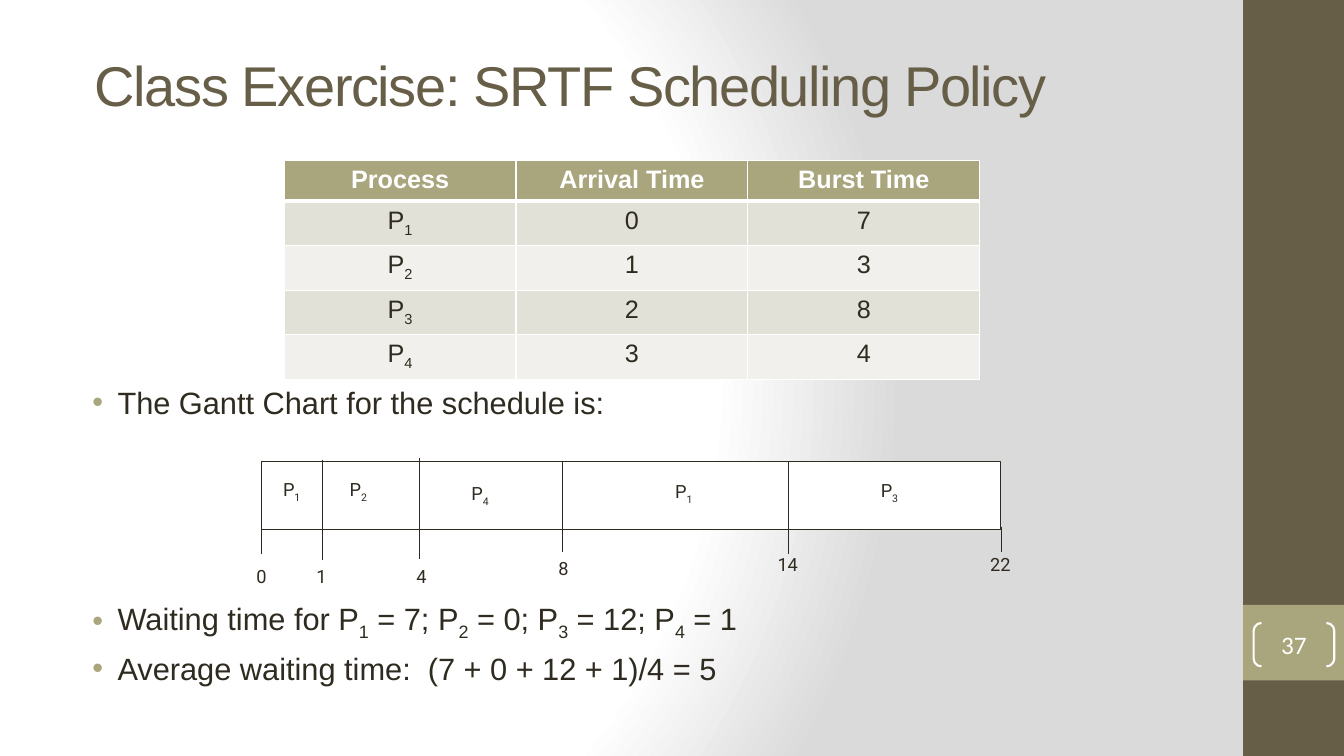
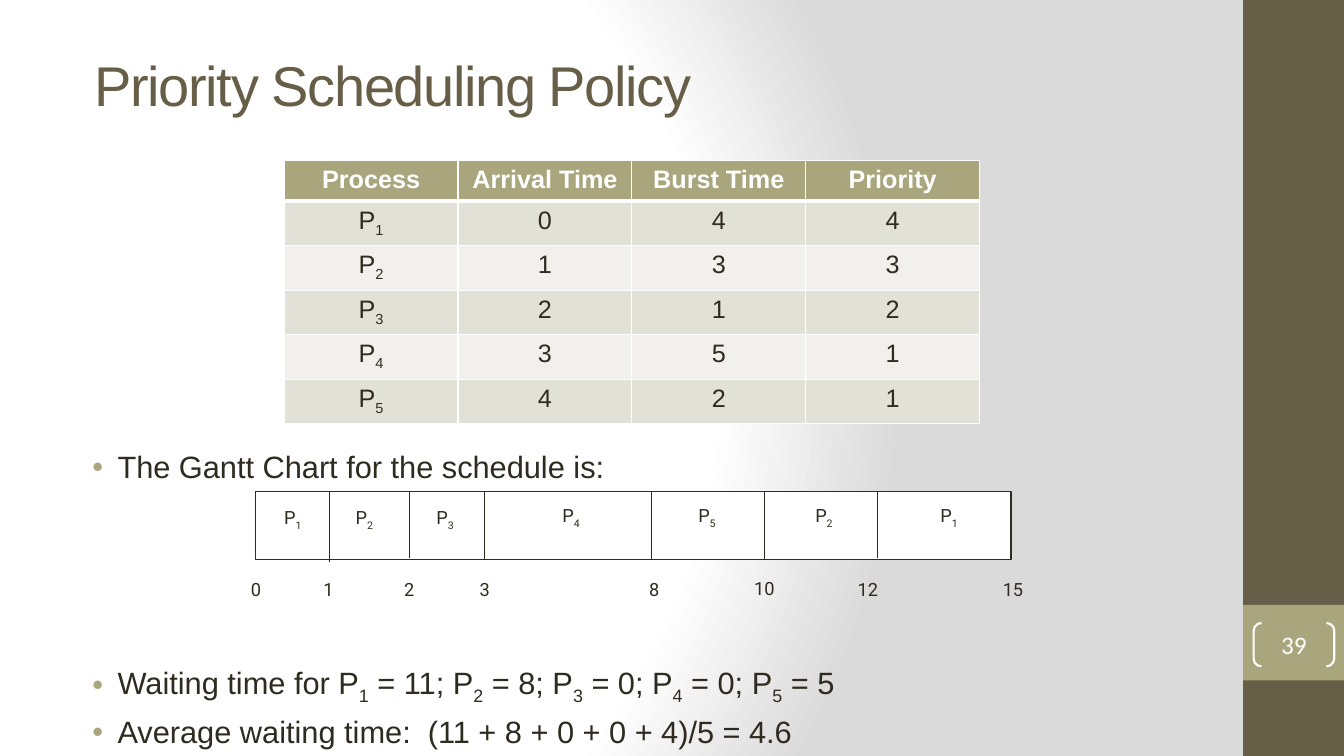
"""Build two slides on CPU scheduling policies, each with a table and a Gantt chart."""
from typing import NamedTuple, Optional

import pptx
import pptx.dml.color
import pptx.enum.shapes
import pptx.enum.text
import pptx.oxml
import pptx.oxml.ns
import pptx.util

Pt = pptx.util.Pt
RGBColor = pptx.dml.color.RGBColor
SHAPE = pptx.enum.shapes.MSO_SHAPE
ALIGN = pptx.enum.text.PP_ALIGN
ANCHOR = pptx.enum.text.MSO_ANCHOR

BROWN = RGBColor(0x67, 0x5E, 0x47)
OLIVE = RGBColor(0xA9, 0xA5, 0x7C)
INK = RGBColor(0x2F, 0x2B, 0x20)
WHITE = RGBColor(0xFF, 0xFF, 0xFF)
GREY = RGBColor(0xDA, 0xDA, 0xDA)
ROW_FILLS = (RGBColor(0xE2, 0xE1, 0xD7), RGBColor(0xF1, 0xF0, 0xEC))

NS = pptx.oxml.ns.nsdecls("a", "p")
ROW_HEIGHT = 29.2
BAR_HEIGHT = 48.2
LABEL_WIDTH, LABEL_HEIGHT = 30, 23


class Tick(NamedTuple):
    """A time mark: its label, the label's centre and top, and its line as x, top, bottom."""
    time: str
    label_x: float
    label_y: float
    line: Optional[tuple] = None


class Gantt(NamedTuple):
    """A Gantt chart: bar left, top and width, process labels (text, centre, top) and ticks."""
    left: float
    top: float
    width: float
    jobs: list
    ticks: list


def add_runs(p, text, size, color, font="Arial", bold=False):
    """Add text as runs; the character after each underscore becomes a subscript."""
    head, *tails = text.split("_")
    pieces = [(head, False)]
    for tail in tails:
        pieces += [(tail[:1], True), (tail[1:], False)]
    for piece, lowered in pieces:
        if not piece:
            continue
        r = p.add_run()
        r.text = piece
        r.font.size, r.font.name, r.font.bold = Pt(size), font, bold
        r.font.color.rgb = color
        if lowered:
            r._r.get_or_add_rPr().set("baseline", "-25000")


def set_frame(tf, inset=None, anchor=ANCHOR.TOP, wrap=True):
    """Set wrapping, anchor and, if given, equal insets of a text frame."""
    tf.word_wrap = wrap
    tf.vertical_anchor = anchor
    if inset is not None:
        tf.margin_left = tf.margin_right = tf.margin_top = tf.margin_bottom = Pt(inset)


def add_box(slide, left, top, width, height, fill=None, line=None, weight=0.75, kind=SHAPE.RECTANGLE):
    """Add a preset shape without shadow."""
    sp = slide.shapes.add_shape(kind, Pt(left), Pt(top), Pt(width), Pt(height))
    sp.shadow.inherit = False
    if fill is None:
        sp.fill.background()
    else:
        sp.fill.solid()
        sp.fill.fore_color.rgb = fill
    if line is None:
        sp.line.fill.background()
    else:
        sp.line.color.rgb = line
        sp.line.width = Pt(weight)
    return sp


def add_vertical(slide, x, top, bottom):
    """Add a thin vertical line."""
    cn = slide.shapes.add_connector(
        pptx.enum.shapes.MSO_CONNECTOR.STRAIGHT, Pt(x), Pt(top), Pt(x), Pt(bottom))
    cn.line.color.rgb = INK
    cn.line.width = Pt(0.75)
    cn._element.spPr.append(pptx.oxml.parse_xml(f"<a:effectLst {NS}/>"))


def add_label(slide, text, center, top):
    """Add a small chart label centred on a given x."""
    tb = slide.shapes.add_textbox(
        Pt(center - LABEL_WIDTH / 2), Pt(top), Pt(LABEL_WIDTH), Pt(LABEL_HEIGHT))
    set_frame(tb.text_frame, anchor=ANCHOR.MIDDLE, wrap=False)
    p = tb.text_frame.paragraphs[0]
    p.alignment = ALIGN.CENTER
    add_runs(p, text, 13, INK, "Roboto")


def add_bullets(slide, top, lines):
    """Add a box of bulleted lines."""
    tb = slide.shapes.add_textbox(Pt(66), Pt(top), Pt(800), Pt(30 * len(lines)))
    tf = tb.text_frame
    set_frame(tf, inset=0)
    for i, text in enumerate(lines):
        p = tf.add_paragraph() if i else tf.paragraphs[0]
        p.alignment = ALIGN.JUSTIFY
        if i:
            p.space_before = Pt(5)
        pPr = p._p.get_or_add_pPr()
        pPr.set("marL", str(Pt(18)))
        pPr.set("indent", str(-Pt(18)))
        for xml in (f'<a:buClr {NS}><a:srgbClr val="{OLIVE}"/></a:buClr>',
                    f'<a:buFont {NS} typeface="Arial"/>',
                    f'<a:buChar {NS} char="•"/>'):
            pPr.append(pptx.oxml.parse_xml(xml))
        add_runs(p, text, 22, INK)


def set_borders(cell, top, bottom):
    """Give a cell white borders, with its own top and bottom weights."""
    tcPr = cell._tc.get_or_add_tcPr()
    for side, weight in (("L", 1), ("R", 1), ("T", top), ("B", bottom)):
        tcPr.append(pptx.oxml.parse_xml(
            f'<a:ln{side} {NS} w="{Pt(weight)}"><a:solidFill>'
            f'<a:srgbClr val="{WHITE}"/></a:solidFill></a:ln{side}>'))


def add_process_table(slide, rows):
    """Add the process table; the first row is the header."""
    width = 496.8
    table = slide.shapes.add_table(len(rows), len(rows[0]), Pt(203), Pt(114.5),
                                   Pt(width), Pt(ROW_HEIGHT * len(rows))).table
    table.horz_banding = False
    for column in table.columns:
        column.width = Pt(width / len(rows[0]))
    for i, row in enumerate(rows):
        table.rows[i].height = Pt(ROW_HEIGHT)
        header = i == 0
        for j, text in enumerate(row):
            cell = table.cell(i, j)
            set_borders(cell, 3 if i == 1 else 1, 3 if header else 1)
            cell.fill.solid()
            cell.fill.fore_color.rgb = OLIVE if header else ROW_FILLS[(i - 1) % 2]
            p = cell.text_frame.paragraphs[0]
            p.alignment = ALIGN.CENTER
            add_runs(p, text, 18, WHITE if header else INK, bold=header)


def add_gantt(slide, gantt):
    """Draw the Gantt bar with its process labels, dividers and times."""
    add_box(slide, gantt.left, gantt.top, gantt.width, BAR_HEIGHT, WHITE, INK)
    for name, center, top in gantt.jobs:
        add_label(slide, name, center, top)
    for tick in gantt.ticks:
        if tick.line:
            add_vertical(slide, *tick.line)
        add_label(slide, tick.time, tick.label_x, tick.label_y)


def set_background(master):
    """Give the master a white to grey radial background."""
    cSld = master.element.cSld
    if cSld.bg is not None:
        cSld.remove(cSld.bg)
    stops = "".join(f'<a:gs pos="{pos}"><a:srgbClr val="{color}"/></a:gs>'
                    for pos, color in ((0, WHITE), (75000, WHITE), (100000, GREY)))
    cSld.insert(0, pptx.oxml.parse_xml(
        f'<p:bg {NS}><p:bgPr><a:gradFill rotWithShape="1"><a:gsLst>{stops}</a:gsLst>'
        '<a:path path="circle"><a:fillToRect l="20000" t="50000" r="100000" b="50000"/></a:path>'
        '</a:gradFill><a:effectLst/></p:bgPr></p:bg>'))


def add_base(prs, title, number):
    """Add a slide with the side bands, title and slide number."""
    slide = prs.slides.add_slide(prs.slide_layouts[5])
    add_box(slide, 888, 0, 72, 540, BROWN)
    add_box(slide, 888, 432, 72, 54, OLIVE)

    sp = slide.shapes.title
    sp.left, sp.top, sp.width, sp.height = Pt(60.5), Pt(44), Pt(785.5), Pt(32.4)
    set_frame(sp.text_frame, anchor=ANCHOR.MIDDLE)
    sp.text_frame.auto_size = pptx.enum.text.MSO_AUTO_SIZE.NONE
    p = sp.text_frame.paragraphs[0]
    p.alignment = ALIGN.LEFT
    add_runs(p, title, 40, BROWN)
    for r in p.runs:
        r._r.get_or_add_rPr().set("spc", "-100")

    sp = add_box(slide, 895.5, 445, 57.6, 31, line=WHITE, weight=1.5, kind=SHAPE.DOUBLE_BRACKET)
    sp.adjustments[0] = 0.18
    set_frame(sp.text_frame, inset=0, anchor=ANCHOR.MIDDLE)
    p = sp.text_frame.paragraphs[0]
    p.alignment = ALIGN.CENTER
    add_runs(p, number, 18, WHITE, "Calibri")
    return slide


def add_policy_slide(prs, title, number, rows, gantt, intro_top, result_top, results):
    """Add one scheduling slide: table, Gantt chart and waiting times."""
    slide = add_base(prs, title, number)
    add_bullets(slide, intro_top, ["The Gantt Chart for the schedule is:"])
    add_bullets(slide, result_top, results)
    add_process_table(slide, rows)
    add_gantt(slide, gantt)


def main():
    """Build and save the presentation."""
    prs = pptx.Presentation()
    prs.slide_width, prs.slide_height = Pt(960), Pt(540)
    set_background(prs.slide_master)

    add_policy_slide(
        prs, "Class Exercise: SRTF Scheduling Policy", "37",
        [("Process", "Arrival Time", "Burst Time"),
         ("P_1", "0", "7"), ("P_2", "1", "3"), ("P_3", "2", "8"), ("P_4", "3", "4")],
        Gantt(186.5, 329.8, 528.5,
              [("P_1", 208.4, 339), ("P_2", 256, 339), ("P_4", 343, 342),
               ("P_1", 488.5, 340.5), ("P_3", 635.4, 340)],
              [Tick("0", 186.8, 400.3, (186.5, 378, 396)),
               Tick("1", 229.7, 400.3, (230.4, 328.3, 400.3)),
               Tick("4", 301, 400.3, (299.5, 327, 399)),
               Tick("8", 402.5, 394.6, (401.8, 329, 394.6)),
               Tick("14", 562.7, 391.7, (563, 329.8, 396)),
               Tick("22", 714.6, 391.7, (715.7, 376.6, 394.6))]),
        274, 428.7,
        ["Waiting time for P_1 = 7; P_2 = 0; P_3 = 12; P_4 = 1",
         "Average waiting time:  (7 + 0 + 12 + 1)/4 = 5"])

    add_policy_slide(
        prs, "Priority Scheduling Policy", "39",
        [("Process", "Arrival Time", "Burst Time", "Priority"),
         ("P_1", "0", "4", "4"), ("P_2", "1", "3", "3"), ("P_3", "2", "1", "2"),
         ("P_4", "3", "5", "1"), ("P_5", "4", "2", "1")],
        Gantt(182.2, 351.4, 540,
              [("P_1", 209.2, 359.3), ("P_2", 260.3, 359.3), ("P_3", 317.9, 359.3),
               ("P_4", 407.9, 357.8), ("P_5", 505, 357.8), ("P_2", 588.6, 357.8),
               ("P_1", 677.9, 357.8)],
              [Tick("0", 182.9, 409.7),
               Tick("1", 234.7, 409.7, (235.4, 351.4, 401.8)),
               Tick("2", 292.3, 409.7, (292.3, 350.6, 398.9)),
               Tick("3", 346.3, 409.7, (346.3, 351.4, 399.6)),
               Tick("8", 467.3, 409.7, (465.1, 351.4, 399.6)),
               Tick("10", 546, 409, (545.8, 351.4, 399.6)),
               Tick("12", 620, 409.7, (627.1, 350.6, 398.9)),
               Tick("15", 723.6, 409.7)]),
        320, 474.4,
        ["Waiting time for P_1 = 11; P_2 = 8; P_3 = 0; P_4 = 0; P_5 = 5",
         "Average waiting time:  (11 + 8 + 0 + 0 + 4)/5 = 4.6"])

    prs.save("out.pptx")


if __name__ == "__main__":
    main()
